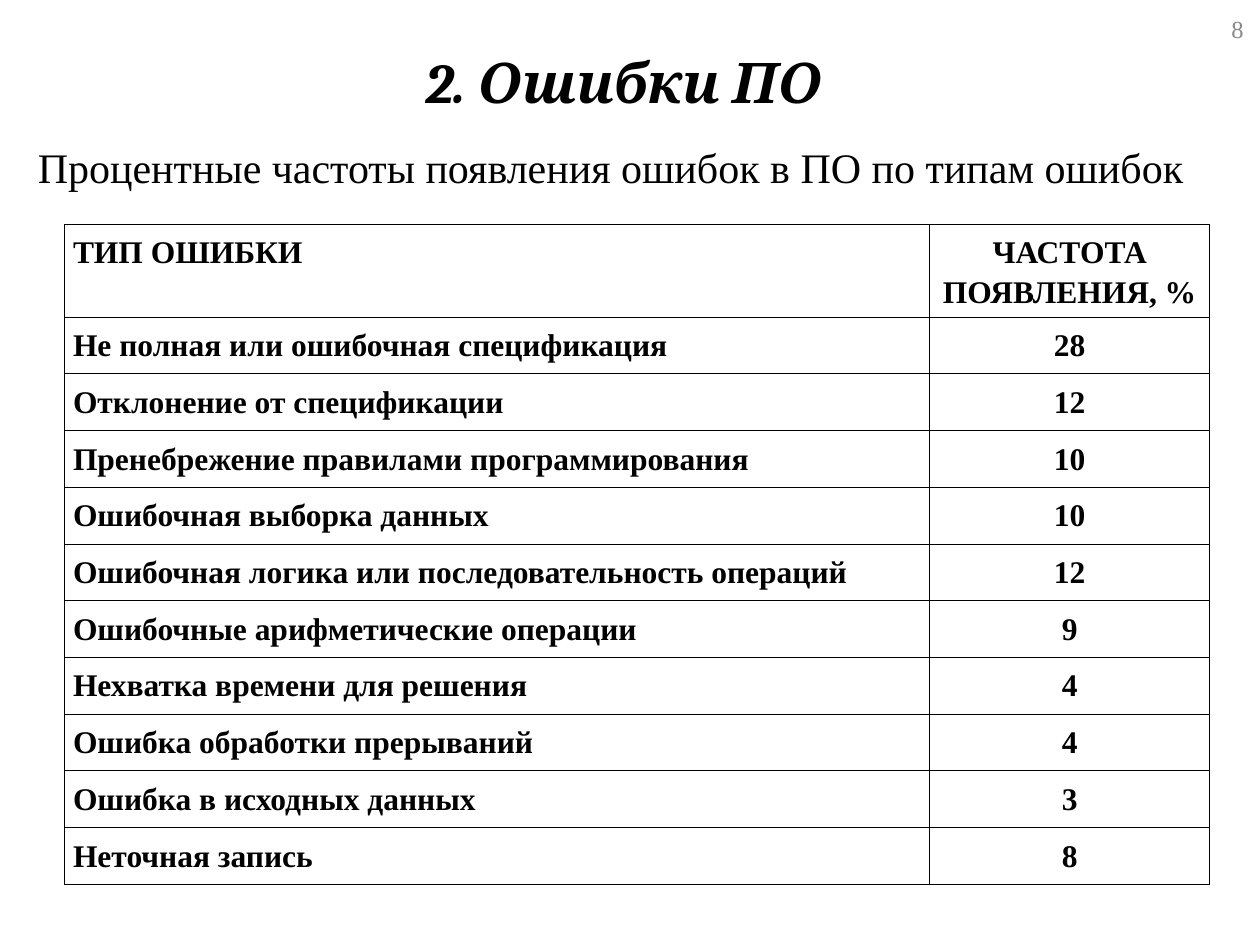
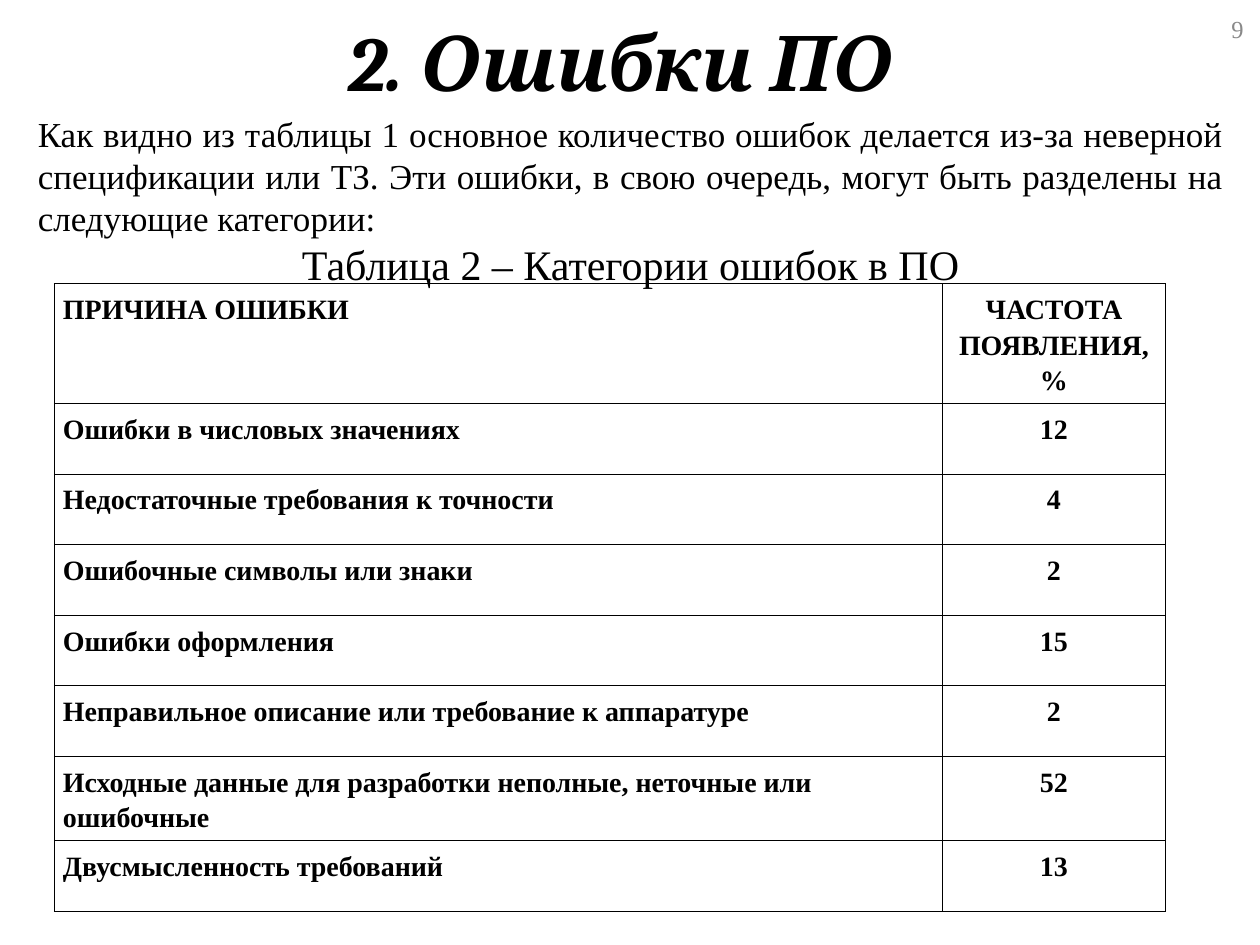
"""Build two slides with tables of software error frequencies."""
import pptx
import pptx.dml.color
import pptx.enum.text
import pptx.oxml
import pptx.oxml.ns
import pptx.util

Inches = pptx.util.Inches
Pt = pptx.util.Pt
Align = pptx.enum.text.PP_ALIGN
Anchor = pptx.enum.text.MSO_ANCHOR

COLORS = {"text": "000000", "border": "000000", "number": "898989"}
TITLE = "2. Ошибки ПО "
TITLE_FONT = "Cambria"
TEXT_FONT = "Times New Roman"
FREQUENCY = "ЧАСТОТА ПОЯВЛЕНИЯ, %"
BORDER = (
    '<a:{side} {ns} w="{width}"><a:solidFill><a:srgbClr val="{color}"/>'
    "</a:solidFill></a:{side}>"
)

slides = [
    {
        "number": "8",
        "title_box": (0.5, 0.3, 9, 0.69),
        "title_size": 32,
        "body_box": (0.2, 1.07, 9.61, 6.14),
        "body": [
            ("Процентные частоты появления ошибок в ПО по типам ошибок", 24, Align.LEFT),
        ],
        "table_at": (0.51, 1.78),
        "columns": (6.87, 2.22),
        "header_height": 0.69,
        "row_height": 0.45,
        "table_size": 18,
        "rows": [
            ("ТИП ОШИБКИ", FREQUENCY),
            ("Не полная или ошибочная спецификация", "28"),
            ("Отклонение от спецификации", "12"),
            ("Пренебрежение правилами программирования", "10"),
            ("Ошибочная выборка данных", "10"),
            ("Ошибочная логика или последовательность операций", "12"),
            ("Ошибочные арифметические операции", "9"),
            ("Нехватка времени для решения", "4"),
            ("Ошибка обработки прерываний", "4"),
            ("Ошибка в исходных данных", "3"),
            ("Неточная запись", "8"),
        ],
    },
    {
        "number": "9",
        "title_box": (0.5, 0.05, 9, 0.87),
        "title_size": 44,
        "body_box": (0.2, 0.84, 9.61, 6.46),
        "body": [
            (
                "Как видно из таблицы 1 основное количество ошибок делается из-за "
                "неверной спецификации или ТЗ. Эти ошибки, в свою очередь, могут "
                "быть разделены на следующие категории: ",
                20,
                Align.JUSTIFY,
            ),
            ("Таблица 2 – Категории ошибок в ПО", 24, Align.CENTER),
        ],
        "table_at": (0.43, 2.25),
        "columns": (7.05, 1.77),
        "header_height": 0.92,
        "row_height": 0.56,
        "table_size": 16,
        "rows": [
            ("ПРИЧИНА ОШИБКИ", FREQUENCY),
            ("Ошибки в числовых значениях", "12"),
            ("Недостаточные требования к точности", "4"),
            ("Ошибочные символы или знаки", "2"),
            ("Ошибки оформления", "15"),
            ("Неправильное описание или требование к аппаратуре", "2"),
            ("Исходные данные для разработки неполные, неточные или ошибочные", "52"),
            ("Двусмысленность требований", "13"),
        ],
    },
]


def write(para, text, size, align, font=TEXT_FONT, color="text", bold=False,
          italic=False, spacing=1.0):
    properties = para._p.get_or_add_pPr()
    properties.set("marL", "0")
    properties.set("indent", "0")
    properties.append(pptx.oxml.parse_xml(f"<a:buNone {pptx.oxml.ns.nsdecls('a')}/>"))
    para.alignment = align
    para.line_spacing = spacing
    para.space_before = Pt(0)
    span = para.add_run()
    span.text = text
    span.font.name = font
    span.font.size = Pt(size)
    span.font.bold = bold
    span.font.italic = italic
    span.font.color.rgb = pptx.dml.color.RGBColor.from_string(COLORS[color])


def place(box, bounds, anchor):
    box.left, box.top, box.width, box.height = map(Inches, bounds)
    frame = box.text_frame
    frame.word_wrap = True
    frame.auto_size = pptx.enum.text.MSO_AUTO_SIZE.NONE
    frame.vertical_anchor = anchor
    return frame


deck = pptx.Presentation()
deck.slide_width = Inches(10)
deck.slide_height = Inches(7.5)

for content in slides:
    page = deck.slides.add_slide(deck.slide_layouts[1])

    frame = place(page.shapes.title, content["title_box"], Anchor.MIDDLE)
    write(frame.paragraphs[0], TITLE, content["title_size"], Align.CENTER,
          font=TITLE_FONT, bold=True, italic=True)

    frame = place(page.placeholders[1], content["body_box"], Anchor.TOP)
    for index, (text, size, align) in enumerate(content["body"]):
        para = frame.add_paragraph() if index else frame.paragraphs[0]
        write(para, text, size, align)

    number_box = page.shapes.add_textbox(0, 0, 0, 0)
    frame = place(number_box, (9.56, 0.03, 0.41, 0.4), Anchor.MIDDLE)
    write(frame.paragraphs[0], content["number"], 14, Align.RIGHT, color="number")

    rows, columns = content["rows"], content["columns"]
    heights = [content["header_height"]] + [content["row_height"]] * (len(rows) - 1)
    left, top = content["table_at"]
    table = page.shapes.add_table(
        len(rows), len(columns), Inches(left), Inches(top),
        Inches(sum(columns)), Inches(sum(heights)),
    ).table
    table.first_row = False
    table.horz_banding = False
    for column, width in zip(table.columns, columns):
        column.width = Inches(width)
    for row, height, texts in zip(table.rows, heights, rows):
        row.height = Inches(height)
        for cell, text, align in zip(row.cells, texts, (Align.LEFT, Align.CENTER)):
            cell.margin_left = cell.margin_right = Inches(0.07)
            cell.margin_top = cell.margin_bottom = Inches(0.05)
            write(cell.text_frame.paragraphs[0], text, content["table_size"], align,
                  bold=True, spacing=1.15)
            for side in ("lnL", "lnR", "lnT", "lnB"):
                cell._tc.get_or_add_tcPr().append(pptx.oxml.parse_xml(BORDER.format(
                    side=side, ns=pptx.oxml.ns.nsdecls("a"),
                    width=Pt(0.45), color=COLORS["border"])))
            cell.fill.background()

deck.save("out.pptx")
